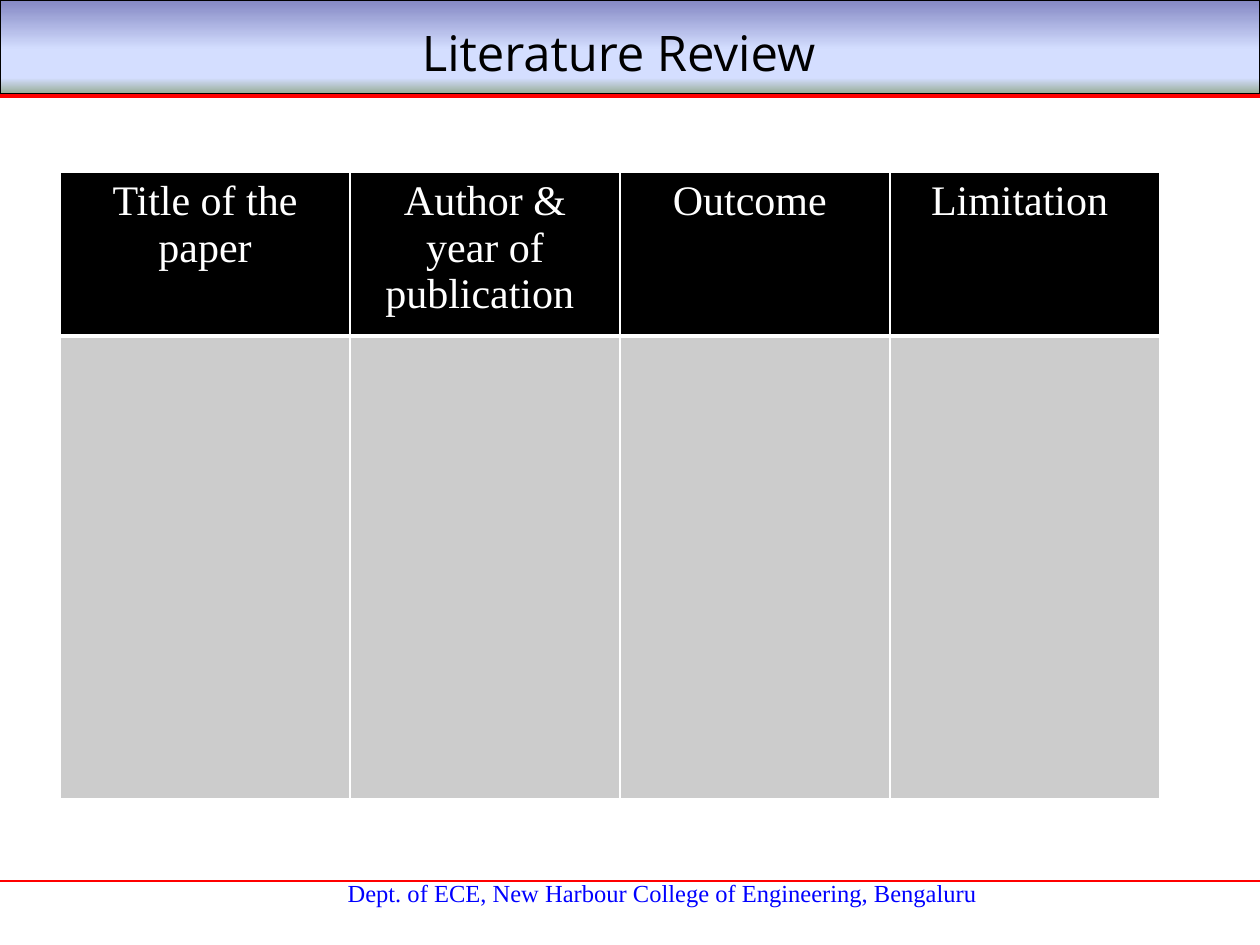
from dataclasses import dataclass

from lxml.etree import SubElement
from pptx import Presentation
from pptx.dml.color import RGBColor as RGB
from pptx.enum.shapes import MSO_CONNECTOR as CONN, MSO_SHAPE as SHAPE
from pptx.enum.text import MSO_AUTO_SIZE as AUTO, PP_ALIGN as ALIGN
from pptx.oxml.ns import qn
from pptx.util import Emu, Pt


@dataclass(frozen=True)
class Theme:
    ink: str = "000000"
    paper: str = "FFFFFF"
    rule: str = "FF0000"
    footer: str = "0000FF"
    body: str = "CCCCCC"
    band: tuple = ((0, "96AB94"), (17, "D4DEFF"), (47, "D4DEFF"), (100, "8488C4"))
    sans: str = "Open Sans"
    serif: str = "Times New Roman"
    title_size: int = 28
    head_size: int = 24
    footer_size: int = 14


def px(n):
    return Emu(round(n * 914400 / 126))


class Deck:
    def __init__(self, theme, width, height):
        self.t = theme
        self.prs = Presentation()
        self.prs.slide_width, self.prs.slide_height = px(width), px(height)
        self.s = self.prs.slides.add_slide(self.prs.slide_layouts[6])

    def style(self, p, size, face, color, align=ALIGN.LEFT):
        p.alignment = align
        p.font.size, p.font.name = Pt(size), face
        p.font.color.rgb = RGB.from_string(color)

    def band(self, x, y, w, h):
        sp = self.s.shapes.add_shape(SHAPE.RECTANGLE, px(x), px(y), px(w), px(h))
        sp.shadow.inherit = False
        sp.line.color.rgb = RGB.from_string(self.t.ink)
        sp.line.width = Pt(0.75)
        sp.fill.gradient()
        sp.fill.gradient_angle = 90
        stops = sp._element.spPr.find(qn("a:gradFill")).find(qn("a:gsLst"))
        stops.clear()
        for pos, color in self.t.band:
            gs = SubElement(stops, qn("a:gs"), pos=str(pos * 1000))
            SubElement(gs, qn("a:srgbClr"), val=color)

    def rule(self, y, weight):
        ln = self.s.shapes.add_connector(
            CONN.STRAIGHT, 0, px(y), self.prs.slide_width, px(y))
        ln.line.color.rgb = RGB.from_string(self.t.rule)
        ln.line.width = Pt(weight)
        SubElement(ln._element.spPr, qn("a:effectLst"))

    def text(self, x, y, w, h, text, *style, before=0, indent=0):
        tf = self.s.shapes.add_textbox(px(x), px(y), px(w), px(h)).text_frame
        tf.word_wrap = True
        tf.auto_size = AUTO.SHAPE_TO_FIT_TEXT
        tf.margin_top = tf.margin_right = tf.margin_bottom = px(6)
        tf.margin_left = px(6 + indent)
        p = tf.paragraphs[0]
        p.text = text
        p.space_before = Pt(before)
        self.style(p, *style)

    def cell(self, cell, fill, bottom):
        tc_pr = cell._tc.get_or_add_tcPr()
        for side, weight in zip("LRTB", (1, 1, 1, bottom)):
            ln = SubElement(tc_pr, qn(f"a:ln{side}"), w=str(Pt(weight)))
            SubElement(SubElement(ln, qn("a:solidFill")),
                       qn("a:srgbClr"), val=self.t.paper)
        cell.fill.solid()
        cell.fill.fore_color.rgb = RGB.from_string(fill)

    def table(self, x, y, widths, heights, heads):
        tbl = self.s.shapes.add_table(
            len(heights), len(widths), px(x), px(y),
            px(sum(widths)), px(sum(heights))).table
        tbl.first_row = tbl.horz_banding = False
        for row, h in zip(tbl.rows, heights):
            row.height = px(h)
        for i, (w, head) in enumerate(zip(widths, heads)):
            tbl.columns[i].width = px(w)
            self.cell(tbl.cell(0, i), self.t.ink, 3)
            self.cell(tbl.cell(1, i), self.t.body, 1)
            p = tbl.cell(0, i).text_frame.paragraphs[0]
            p.text = head
            self.style(p, self.t.head_size, self.t.serif, self.t.paper, ALIGN.CENTER)


def main():
    t = Theme()
    deck = Deck(t, 1260, 945)
    deck.band(0, 0, 1260, 94)
    deck.rule(96, 2.25)
    deck.text(217, 872, 879, 39,
              "Dept. of ECE, New Harbour College of Engineering, Bengaluru",
              t.footer_size, t.serif, t.footer, ALIGN.CENTER, before=8, indent=12)
    deck.rule(881, 1.5)
    deck.text(416, 16, 593, 72, "Literature Review", t.title_size, t.sans, t.ink)
    deck.table(60, 172, [290] + [270] * 3, [122, 463],
               ["Title of the paper", "Author & year of publication ",
                "Outcome ", "Limitation "])
    deck.prs.save("out.pptx")


if __name__ == "__main__":
    main()
